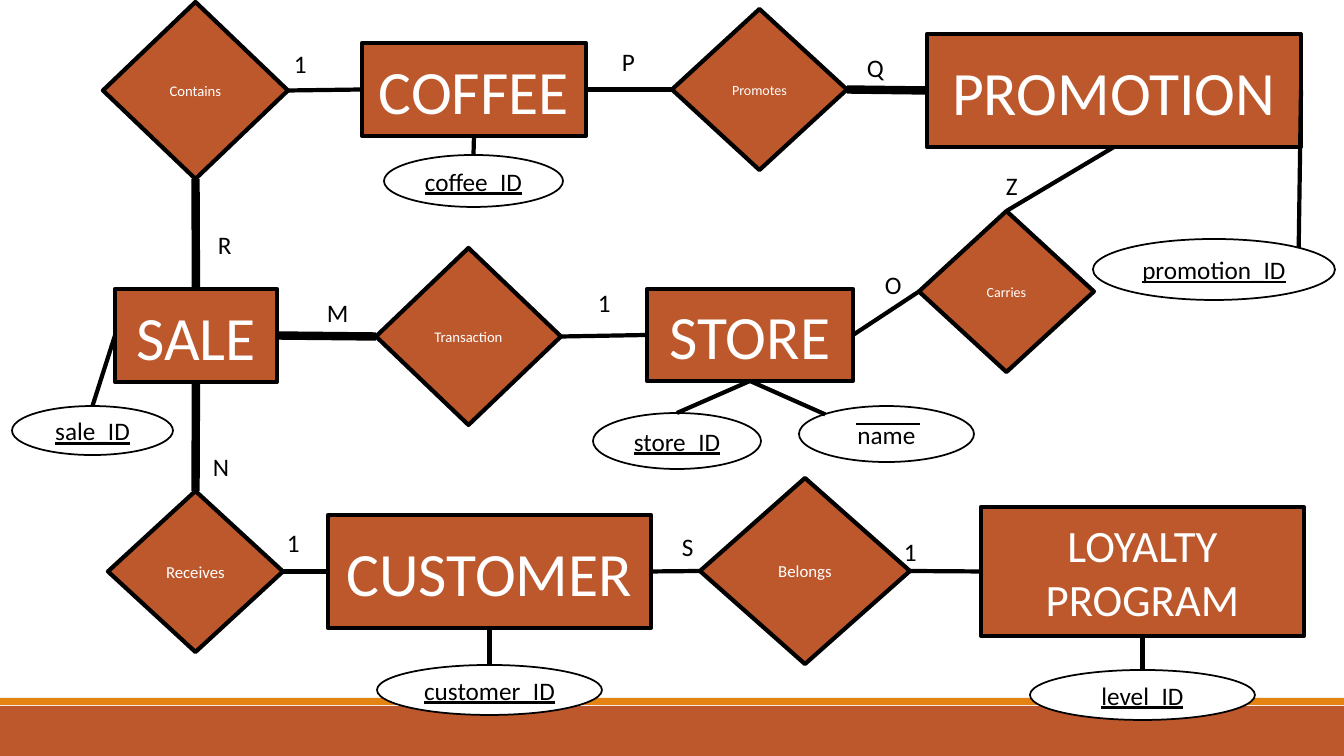
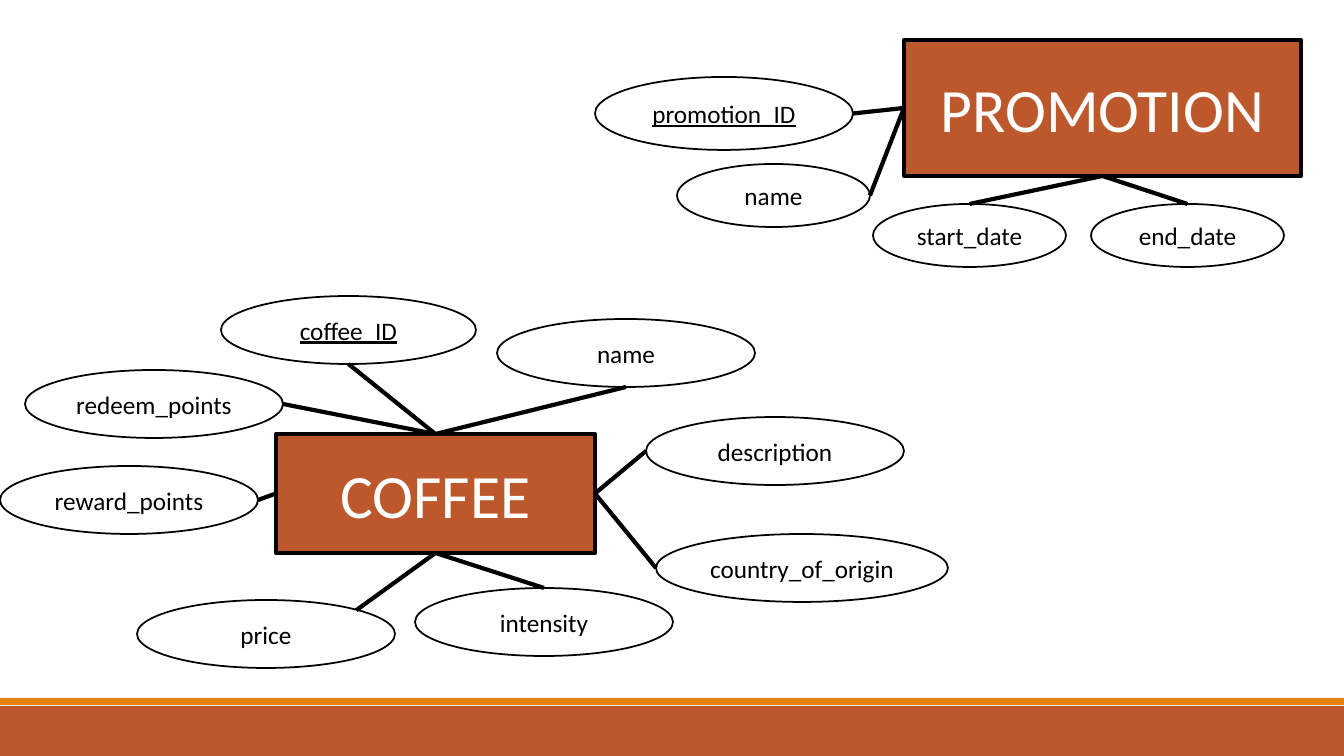
from lxml import etree
from pptx import Presentation
from pptx.dml.color import RGBColor
from pptx.enum.shapes import MSO_CONNECTOR, MSO_SHAPE
from pptx.enum.text import MSO_ANCHOR, MSO_AUTO_SIZE, PP_ALIGN
from pptx.oxml.ns import qn
from pptx.util import Emu, Pt

RECTANGLE, DIAMOND, OVAL = MSO_SHAPE.RECTANGLE, MSO_SHAPE.DIAMOND, MSO_SHAPE.OVAL
STRAIGHT = MSO_CONNECTOR.STRAIGHT
MIDDLE, CENTER = MSO_ANCHOR.MIDDLE, PP_ALIGN.CENTER
FIT_SHAPE = MSO_AUTO_SIZE.SHAPE_TO_FIT_TEXT

RUST = RGBColor(0xBD, 0x58, 0x2C)
ORANGE = RGBColor(0xE4, 0x83, 0x12)
WHITE = RGBColor(0xFF, 0xFF, 0xFF)
BLACK = RGBColor(0, 0, 0)
FONT = "Calibri"

SLIDE_W, SLIDE_H = 1344, 756
SCALE = 12192000 / SLIDE_W
THIN, PARTIAL, TOTAL = 1, 3, 6  # line widths in points
BLANK_LAYOUT = 6

# Connection sites: number on an oval, then place as a share of width and height
SITES = {
    "top": (0, 0.5, 0), "top left": (1, 0.15, 0.15), "left": (2, 0, 0.5),
    "bottom": (4, 0.5, 1), "right": (6, 1, 0.5), "top right": (7, 0.85, 0.15),
}


def px(length):
    return Emu(round(length * SCALE))


def write(frame, text, size, color, underline=None):
    run = frame.paragraphs[0].add_run()
    run.text = text
    run.font.name = FONT
    run.font.size = Pt(size)
    run.font.color.rgb = color
    run.font.underline = underline


def add_block(slide, kind, box, fill, outline=None):
    block = slide.shapes.add_shape(kind, *map(px, box))
    block.shadow.inherit = False
    block.fill.solid()
    block.fill.fore_color.rgb = fill
    if outline is None:
        block.line.fill.background()
    else:
        block.line.color.rgb = BLACK
        block.line.width = Pt(outline)
    return block


def add_node(slide, kind, box, text, size, fill=RUST, color=WHITE, outline=3, underline=None):
    node = add_block(slide, kind, box, fill, outline)
    frame = node.text_frame
    frame.word_wrap = True
    frame.vertical_anchor = MIDDLE
    frame.paragraphs[0].alignment = CENTER
    write(frame, text, size, color, underline)
    return node


def add_line(slide, start, end, weight):
    line = slide.shapes.add_connector(STRAIGHT, *start, *end)
    line.line.color.rgb = BLACK
    line.line.width = Pt(weight)
    etree.SubElement(line.element.spPr, qn("a:effectLst"))
    return line


def site_point(node, side):
    _, across, down = SITES[side]
    return (Emu(round(node.left + across * node.width)),
            Emu(round(node.top + down * node.height)))


def join(slide, start, start_side, end, end_side, weight):
    """Draw a line glued to a site of each node."""
    line = add_line(slide, site_point(start, start_side), site_point(end, end_side), weight)
    glue = line.element.nvCxnSpPr.cNvCxnSpPr
    for tag, node, side in (("a:stCxn", start, start_side), ("a:endCxn", end, end_side)):
        number = SITES[side][0]
        if node.auto_shape_type != OVAL:
            number //= 2
        etree.SubElement(glue, qn(tag), id=str(node.shape_id), idx=str(number))


def add_entity(slide, box, name, attributes, size=44):
    """Place an entity and its attributes, whose offsets count from the entity."""
    left, top = box[:2]
    entity = add_node(slide, RECTANGLE, box, name, size)
    for text, dx, dy, width, height, entity_side, side in attributes:
        is_key = text.endswith("_ID")
        attribute = add_node(slide, OVAL, (left + dx, top + dy, width, height), text, 18,
                             WHITE, BLACK, 1.25, is_key or None)
        join(slide, entity, entity_side, attribute, side, PARTIAL)
    return entity


def add_relationship(slide, box, name, size, links):
    """Place a relationship, its lines and its cardinalities, offset from the diamond."""
    left, top = box[:2]
    relationship = add_node(slide, DIAMOND, box, name, size)
    for entity, entity_side, side, weight, cardinality, dx, dy, width in links:
        join(slide, relationship, side, entity, entity_side, weight)
        label = slide.shapes.add_textbox(px(left + dx), px(top + dy), px(width), px(40))
        label.text_frame.word_wrap = False
        label.text_frame.auto_size = FIT_SHAPE
        write(label.text_frame, cardinality, 18, BLACK)


def add_bands(slide, master):
    """Draw the footer bands and hand them to the master."""
    for top, height, color in ((706, 50, RUST), (698, 7, ORANGE)):
        band = add_block(slide, RECTANGLE, (0, top, SLIDE_W, height), color)
        master.element.cSld.spTree.append(band.element)


def build_overview(slide, left, top):
    def at(x, y, width, height):
        return left + x, top + y, width, height

    # Entities with their keys
    coffee = add_entity(slide, at(362, 43, 224, 93), "COFFEE", [
        ("coffee_ID", 22, 112, 179, 52, "bottom", "top")])
    promotion = add_entity(slide, at(927, 34, 374, 113), "PROMOTION", [
        ("promotion_ID", 166, 205, 242, 61, "right", "top right")])
    sale = add_entity(slide, at(115, 289, 162, 93), "SALE", [
        ("sale_ID", -103, 117, 161, 49, "left", "top")])
    store = add_entity(slide, at(647, 289, 206, 92), "STORE", [
        ("store_ID", -54, 124, 168, 56, "bottom", "top"),
        ("name", 152, 117, 175, 56, "bottom", "top left")])
    customer = add_entity(slide, at(328, 515, 323, 113), "CUSTOMER", [
        ("customer_ID", 49, 150, 225, 50, "bottom", "top")])
    loyalty = add_entity(slide, at(981, 507, 323, 129), "LOYALTY PROGRAM", [
        ("level_ID", 49, 163, 225, 50, "bottom", "top")], 32)

    # Overline of the store name
    overline_y = px(top + 424)
    add_line(slide, (px(left + 856), overline_y), (px(left + 920), overline_y), THIN)

    # Relationships
    add_relationship(slide, at(103, 2, 185, 177), "Contains", 10.5, [
        (coffee, "left", "right", PARTIAL, "1", 181, 41, 33),
        (sale, "top", "bottom", TOTAL, "R", 105, 222, 34)])
    add_relationship(slide, at(376, 248, 185, 177), "Transaction", 10.5, [
        (sale, "right", "left", TOTAL, "M", -59, 44, 42),
        (store, "left", "right", PARTIAL, "1", 212, 34, 33)])
    add_relationship(slide, at(108, 491, 175, 161), "Receives", 12, [
        (sale, "bottom", "top", TOTAL, "N", 95, -45, 36),
        (customer, "left", "right", PARTIAL, "1", 169, 31, 33)])
    add_relationship(slide, at(672, 9, 175, 161), "Promotes", 10, [
        (coffee, "right", "left", PARTIAL, "P", -60, 32, 34),
        (promotion, "left", "right", TOTAL, "Q", 185, 38, 37)])
    add_relationship(slide, at(919, 211, 175, 161), "Carries", 10, [
        (store, "right", "left", PARTIAL, "O", -44, 53, 37),
        (promotion, "bottom", "top", PARTIAL, "Z", 77, -46, 32)])
    add_relationship(slide, at(700, 478, 210, 186), "Belongs", 12, [
        (customer, "right", "left", PARTIAL, "S", -28, 48, 32),
        (loyalty, "left", "right", PARTIAL, "1", 194, 53, 33)])


def build_attributes(slide, left, top):
    add_entity(slide, (left + 904, top + 40, 397, 136), "PROMOTION", [
        ("promotion_ID", -309, 37, 258, 73, "left", "right"),
        ("name", -227, 124, 193, 63, "left", "right"),
        ("start_date", -31, 164, 193, 63, "bottom", "top"),
        ("end_date", 187, 164, 193, 63, "bottom", "top")])
    add_entity(slide, (left + 276, top + 434, 319, 119), "COFFEE", [
        ("coffee_ID", -55, -138, 255, 68, "top", "bottom"),
        ("name", 221, -115, 258, 68, "top", "bottom"),
        ("redeem_points", -251, -64, 258, 68, "top", "right"),
        ("reward_points", -276, 32, 258, 68, "left", "right"),
        ("description", 370, -17, 258, 68, "right", "left"),
        ("country_of_origin", 380, 100, 292, 68, "right", "left"),
        ("intensity", 139, 154, 258, 68, "bottom", "top"),
        ("price", -139, 166, 258, 68, "bottom", "top right")])


deck = Presentation()
deck.slide_width, deck.slide_height = px(SLIDE_W), px(SLIDE_H)
blank = deck.slide_layouts[BLANK_LAYOUT]
overview = deck.slides.add_slide(blank)
add_bands(overview, deck.slide_master)
build_overview(overview, 0, 0)
build_attributes(deck.slides.add_slide(blank), 0, 0)
deck.save("out.pptx")
